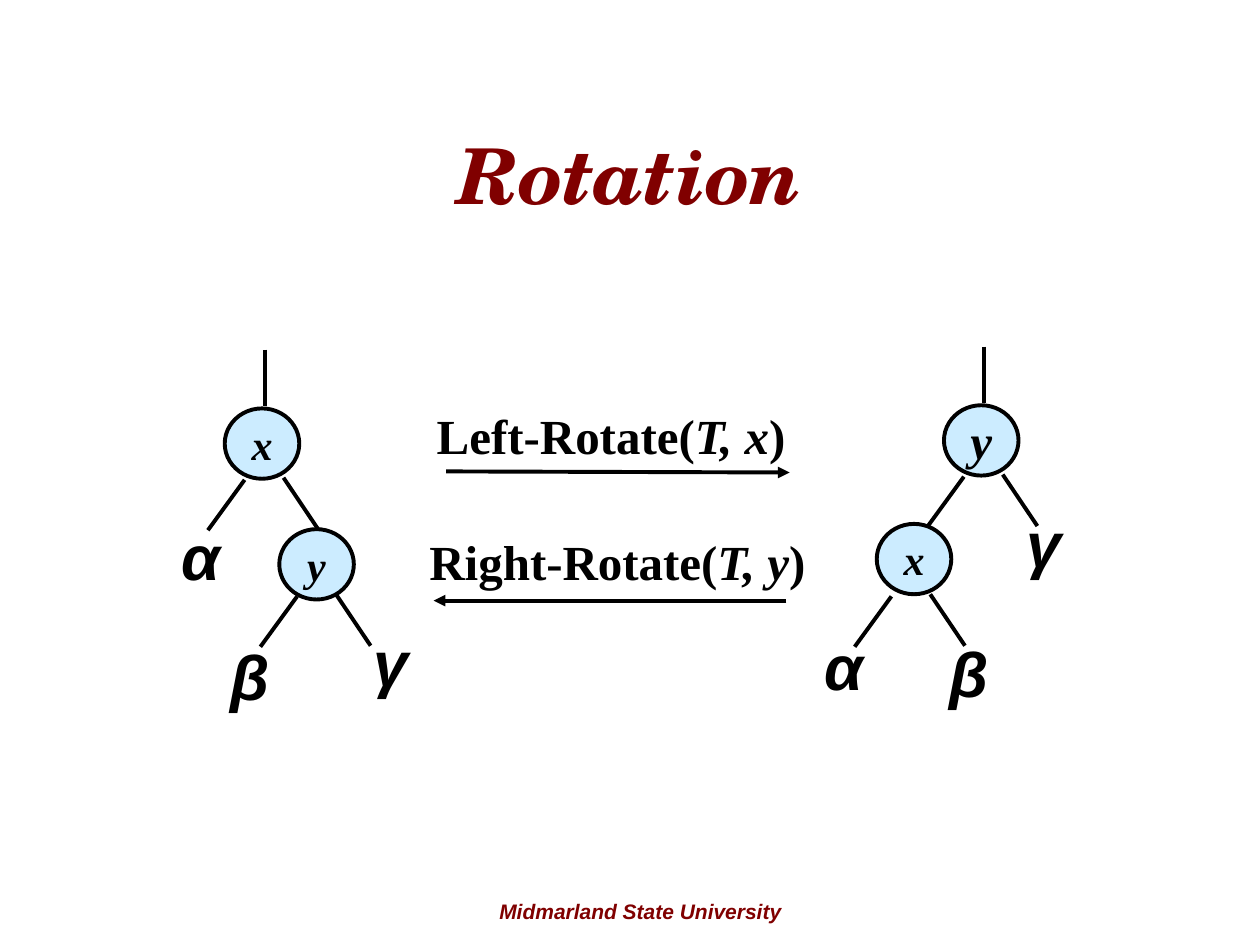
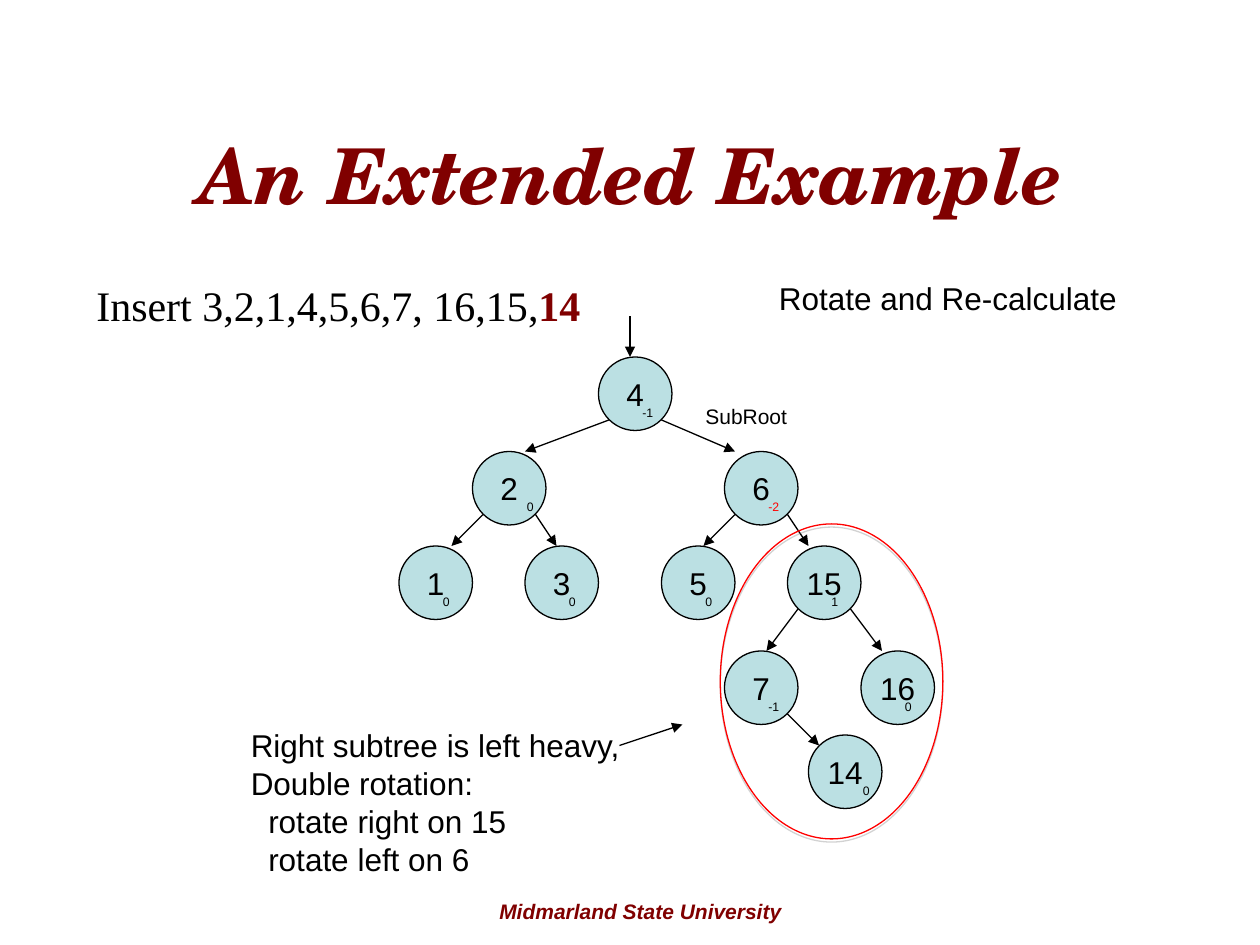
"""Build two slides on binary tree rotation and a worked balancing example."""
from lxml.etree import SubElement
from pptx import Presentation
from pptx.dml.color import RGBColor
from pptx.enum.shapes import MSO_CONNECTOR, MSO_SHAPE
from pptx.enum.text import MSO_ANCHOR, MSO_AUTO_SIZE, PP_ALIGN
from pptx.oxml.ns import qn
from pptx.util import Inches, Pt

BLACK = RGBColor(0x00, 0x00, 0x00)
MAROON = RGBColor(0x80, 0x00, 0x00)
RED = RGBColor(0xFF, 0x00, 0x00)
SKY = RGBColor(0xCC, 0xEC, 0xFF)
TEAL = RGBColor(0xBB, 0xE0, 0xE3)

COLUMNS, ROWS = 120, 90
BOLD_ITALIC = {"bold": True, "italic": True}
BODY = {"name": "Arial", "size": Pt(18), "color": BLACK}
TITLE = {"name": "TeX Gyre Schola", "size": Pt(44), "color": MAROON, **BOLD_ITALIC}
FOOTER = {**BODY, "size": Pt(12), "color": MAROON, **BOLD_ITALIC}
GREEK = {**BODY, "size": Pt(36), **BOLD_ITALIC}
SERIF = {"name": "Times New Roman", "size": Pt(24), "color": BLACK}
KEY = {**SERIF, **BOLD_ITALIC}
CALL = {**SERIF, "size": Pt(28), "bold": True}
BALANCE = {**BODY, "size": Pt(7)}


class Deck:
    """Hold the shared style and the current slide, measured in grid cells."""

    def __init__(self):
        self.show = Presentation()
        self.show.slide_width, self.show.slide_height = Inches(10), Inches(7.5)
        self.slide = None

    def start(self, title):
        self.slide = self.show.slides.add_slide(self.show.slide_layouts[6])
        self.text((42, 85, 38, 3.6), ["Midmarland State University"], FOOTER, PP_ALIGN.CENTER)
        self.text((6, 9, 108, 15), [title], TITLE, PP_ALIGN.CENTER, MSO_ANCHOR.MIDDLE)

    def cells(self, values):
        units = (self.show.slide_width / COLUMNS, self.show.slide_height / ROWS)
        return [round(value * units[index % 2]) for index, value in enumerate(values)]

    def typeset(self, frame, paragraphs, style, align, anchor, wrap):
        settings = {"word_wrap": wrap, "vertical_anchor": anchor}
        for key, value in settings.items():
            setattr(frame, key, value)
        for index, runs in enumerate(paragraphs):
            paragraph = frame.add_paragraph() if index else frame.paragraphs[0]
            paragraph.alignment = align
            for words, changes in [(runs, {})] if isinstance(runs, str) else runs:
                run = paragraph.add_run()
                run.text = words
                for key, value in {**style, **changes}.items():
                    if key == "color":
                        run.font.color.rgb = value
                    else:
                        setattr(run.font, key, value)

    def text(self, box, paragraphs, style=BODY, align=PP_ALIGN.LEFT,
             anchor=MSO_ANCHOR.TOP, wrap=True):
        frame = self.slide.shapes.add_textbox(*self.cells(box)).text_frame
        self.typeset(frame, paragraphs, style, align, anchor, wrap)
        frame.auto_size = MSO_AUTO_SIZE.NONE if style is TITLE else MSO_AUTO_SIZE.SHAPE_TO_FIT_TEXT
        return frame

    def label(self, box, runs, style):
        self.text(box, [runs], style, PP_ALIGN.CENTER, MSO_ANCHOR.MIDDLE, False)

    def oval(self, box, fill, color, width):
        oval = self.slide.shapes.add_shape(MSO_SHAPE.OVAL, *self.cells(box))
        oval.shadow.inherit = False
        if fill is None:
            oval.fill.background()
        else:
            oval.fill.solid()
            oval.fill.fore_color.rgb = fill
        oval.line.color.rgb, oval.line.width = color, Pt(width)
        return oval

    def node(self, box, key, style, fill, width):
        frame = self.oval(box, fill, BLACK, width).text_frame
        self.typeset(frame, [key], style, PP_ALIGN.CENTER, MSO_ANCHOR.MIDDLE, False)

    def ring(self, box):
        effects = self.oval(box, None, RED, 0.75)._element.spPr.find(qn("a:effectLst"))
        shadow = SubElement(effects, qn("a:outerShdw"), blurRad="0", dist=str(Pt(1.8)),
                            dir="5400000", algn="ctr", rotWithShape="0")
        gray = SubElement(shadow, qn("a:srgbClr"), val="808080")
        SubElement(gray, qn("a:alpha"), val="35000")

    def line(self, start, end, width=0.75, arrow=True):
        line = self.slide.shapes.add_connector(MSO_CONNECTOR.STRAIGHT, *self.cells(start + end))
        line.line.color.rgb, line.line.width = BLACK, Pt(width)
        properties = line._element.spPr
        if arrow:
            SubElement(properties.get_or_add_ln(), qn("a:tailEnd"), type="triangle")
        SubElement(properties, qn("a:effectLst"))

    def branches(self, column, row, stem=False):
        edges = [((1.9, 6.8), (-1.6, 11.6)), ((5.6, 6.6), (8.9, 11.5))]
        if stem:
            edges.append(((3.8, -5.6), (3.8, -0.2)))
        for edge in edges:
            start, end = [(column + x, row + y) for x, y in edge]
            self.line(start, end, 2.25, False)


def rotation(deck):
    deck.start("Rotation")
    for key, column, row, size in [("y", 89.9, 38.6, 28), ("x", 83.5, 49.9, 24),
                                   ("x", 21.4, 38.9, 24), ("y", 26.6, 50.4, 24)]:
        deck.node((column, row, 7.1, 6.7), key, {**KEY, "size": Pt(size)}, SKY, 2.25)
    for column, row, stem in [(89.9, 38.6, True), (83, 50, False),
                              (21.4, 38.9, True), (26.4, 50, False)]:
        deck.branches(column, row, stem)
    for subtree, column, row in [("α", 77.3, 59.2), ("β ", 88.7, 59.8), ("γ ", 95.8, 47.5),
                                 ("α", 16.1, 48.7), ("β ", 20.2, 60.1), ("γ ", 33.6, 58.8)]:
        deck.label((column, row, 6.1 if subtree == "α" else 7.2, 8.4), subtree, GREEK)
    for name, arguments, box, start, end in [
            ("Left-Rotate(", "T, x", (40.2, 38, 36, 6.8), (42.5, 44.9), (75.2, 45)),
            ("Right-Rotate(", "T, y", (39.5, 50, 38.6, 6.8), (74.9, 57.2), (41.3, 57.2))]:
        deck.line(start, end, 2.25)
        deck.label(box, [(name, {}), (arguments, {"italic": True}), (")", {})], CALL)


def extended_example(deck):
    deck.start("An Extended Example")
    deck.text((8, 26, 85, 6), [[("Insert 3,2,1,4,5,6,7, 16,15,", {}),
                                ("14", {"color": MAROON, "bold": True})]], SERIF)
    deck.text((73, 26, 40, 4.8), ["Rotate and Re-calculate"])
    places = {4: (57, 34), 2: (45, 43), 6: (69, 43), 1: (38, 52), 3: (50, 52),
              5: (63, 52), 15: (75, 52), 7: (69, 62), 16: (82, 62), 14: (77, 70)}
    balances = {4: -1, 6: -2, 15: 1, 7: -1}
    for key, (column, row) in places.items():
        deck.node((column, row, 7, 7), str(key), BODY, TEAL, 0.75)
        balance = balances.get(key, 0)
        color = RED if abs(balance) > 1 else BLACK
        shift = 4 if key in (2, 14) else 3
        deck.text((column + shift, row + 4, 4, 2.6), [str(balance)], {**BALANCE, "color": color})
    for parent, child, landing in [(4, 2, (5, 0)), (4, 6, (1, 0)), (2, 1, (5, 0)),
                                   (2, 3, (3, 0)), (6, 5, (4, 0)), (6, 15, (2, 0)),
                                   (15, 7, (4, 0)), (15, 16, (2, 0)), (7, 14, (1, 1))]:
        (left, top), (column, row) = places[parent], places[child]
        departure = (left + (1 if column < left else 6), top + 6)
        deck.line(departure, (column + landing[0], row + landing[1]))
    deck.text((66, 37.8, 14, 3.6), ["SubRoot"], {**BODY, "size": Pt(12)})
    advice = deck.text((22.7, 68.6, 38, 15.6), [
        "Right subtree is left heavy,", "Double rotation:",
        "rotate right on 15", "rotate left on 6"])
    for step in advice.paragraphs[2:]:
        step._p.get_or_add_pPr().set("marL", str(Pt(10)))
    deck.line((59, 71), (65, 69))
    deck.ring((68.6, 49.9, 21.2, 30))
    deck.line((60, 30.1), (60, 34))


def main():
    deck = Deck()
    rotation(deck)
    extended_example(deck)
    deck.show.save("out.pptx")


if __name__ == "__main__":
    main()
